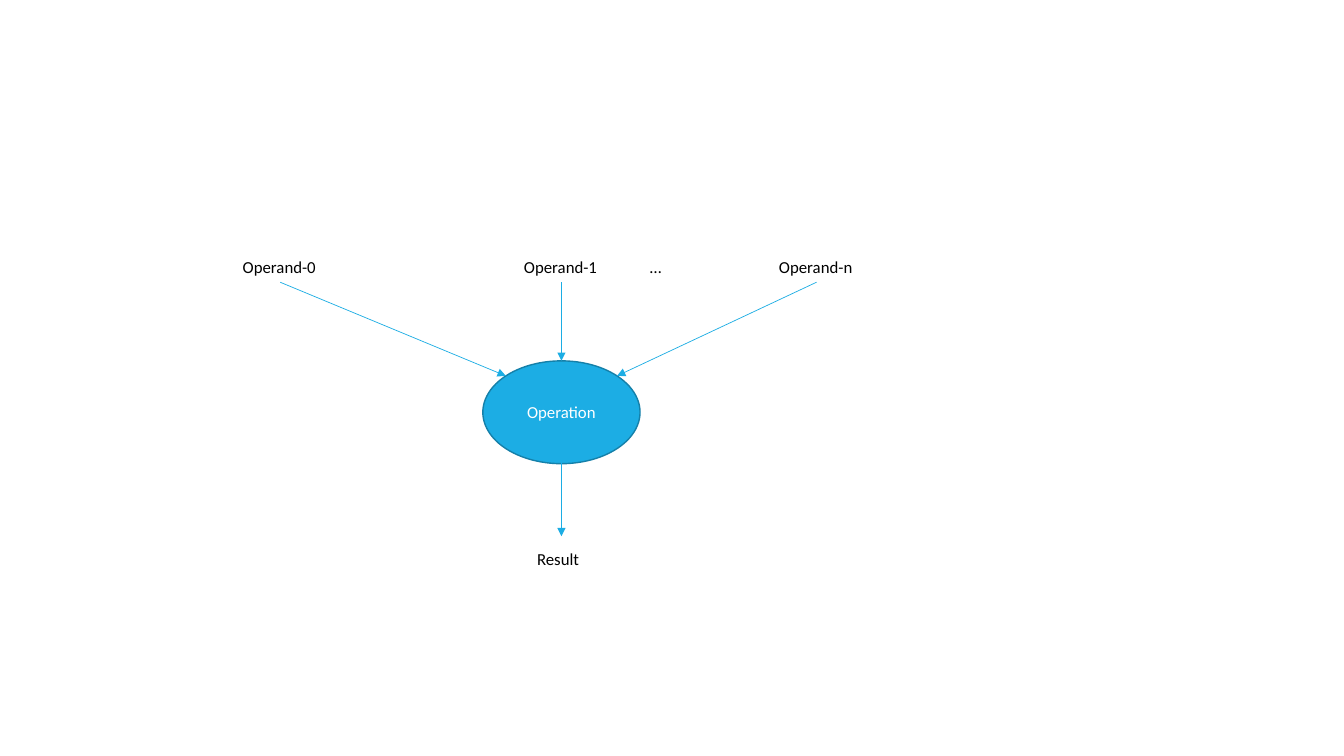
"""Build a slide showing operands that feed an operation and its result."""
import math
import pptx
import pptx.util
import pptx.dml.color
import pptx.enum.shapes
import pptx.enum.text
import pptx.oxml
import pptx.oxml.ns

THEME = dict(font="Calibri", size=12, ink="000000", light="FFFFFF",
             fill="1CADE4", edge="1580A9", rim=1, thin=0.5)
CELL = 0.1
SIZE = (133.33, 75)
TOP, LOW, TALL = 25, 53.9, 3
NODE = dict(text="Operation", mid=(55.7, 40.9), radii=(7.8, 5.1))
LABELS = [
    ("Operand-1", 51, TOP, 9.3),
    ("Operand-0", 23.1, TOP, 9.3),
    ("Operand-n", 76.3, TOP, 9.3),
    ("Result", 52.3, LOW, 6.7),
    ("…", 63.5, TOP, 3.3),
]
FEEDS = [(27.8, -135), (55.7, -90), (81, -45)]
EXIT = (45.4, 53.2)


def grid(*cells):
    return [pptx.util.Inches(cell * CELL) for cell in cells]


def tint(name):
    return pptx.dml.color.RGBColor.from_string(THEME[name])


def write(shape, text, color="ink", align=None, anchor=None, wrap=False):
    frame = shape.text_frame
    frame.word_wrap = wrap
    if anchor is not None:
        frame.vertical_anchor = anchor
    para = frame.paragraphs[0]
    para.alignment = align
    run = para.add_run()
    run.text = text
    run.font.name = THEME["font"]
    run.font.size = pptx.util.Pt(THEME["size"])
    run.font.color.rgb = tint(color)


def rim(angle):
    turn = math.radians(angle)
    (x, y), (wide, high) = NODE["mid"], NODE["radii"]
    return x + wide * math.cos(turn), y + high * math.sin(turn)


def arrow(start, end):
    line = slide.shapes.add_connector(
        pptx.enum.shapes.MSO_CONNECTOR.STRAIGHT, *grid(*start, *end))
    line.line.color.rgb = tint("fill")
    line.line.width = pptx.util.Pt(THEME["thin"])
    head = pptx.oxml.parse_xml(
        f'<a:tailEnd {pptx.oxml.ns.nsdecls("a")} type="triangle"/>')
    line.line._get_or_add_ln().append(head)
    line._element.spPr.append(pptx.oxml.parse_xml(
        f'<a:effectLst {pptx.oxml.ns.nsdecls("a")}/>'))


deck = pptx.Presentation()
deck.slide_width, deck.slide_height = grid(*SIZE)
slide = deck.slides.add_slide(deck.slide_layouts[6])

(x, y), (wide, high) = NODE["mid"], NODE["radii"]
node = slide.shapes.add_shape(
    pptx.enum.shapes.MSO_SHAPE.OVAL,
    *grid(x - wide, y - high, 2 * wide, 2 * high))
node.shadow.inherit = False
node.fill.solid()
node.fill.fore_color.rgb = tint("fill")
node.line.color.rgb = tint("edge")
node.line.width = pptx.util.Pt(THEME["rim"])
write(node, NODE["text"], color="light", wrap=True,
      align=pptx.enum.text.PP_ALIGN.CENTER,
      anchor=pptx.enum.text.MSO_ANCHOR.MIDDLE)

for text, left, top, width in LABELS:
    box = slide.shapes.add_textbox(*grid(left, top, width, TALL))
    write(box, text)
    box.text_frame.auto_size = pptx.enum.text.MSO_AUTO_SIZE.SHAPE_TO_FIT_TEXT

for start, angle in FEEDS:
    arrow((start, TOP + TALL), rim(angle))
arrow((x, EXIT[0]), (x, EXIT[1]))

deck.save("out.pptx")
